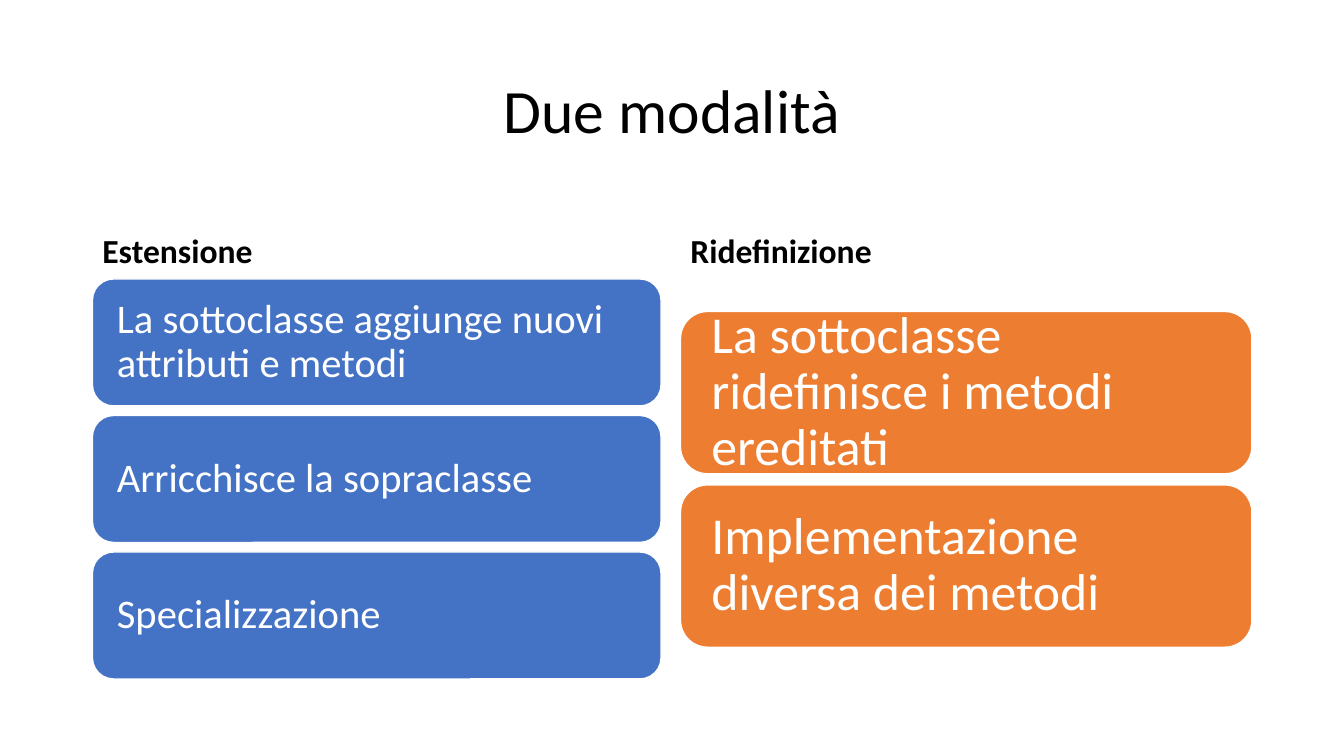
from pptx import Presentation
from pptx.dml.color import RGBColor
from pptx.enum.shapes import MSO_SHAPE
from pptx.enum.text import MSO_ANCHOR, PP_ALIGN
from pptx.util import Cm, Pt

COLORS = {"text": "000000", "white": "FFFFFF", "blue": "4472C4", "orange": "ED7D31"}

COLUMNS = [
    {"heading": "Estensione", "color": "blue", "left": 2.33, "width": 14.33,
     "top": 7.03, "height": 3.2, "pitch": 3.44, "inset": 0.46, "size": 29,
     "cards": ["La sottoclasse aggiunge nuovi attributi e metodi",
               "Arricchisce la sopraclasse",
               "Specializzazione"]},
    {"heading": "Ridefinizione", "color": "orange", "left": 17.15, "width": 14.4,
     "top": 7.85, "height": 4.09, "pitch": 4.37, "inset": 0.58, "size": 37,
     "cards": ["La sottoclasse ridefinisce i metodi ereditati",
               "Implementazione diversa dei metodi"]},
]


def write(shape, text, color, anchor, inset_x, inset_y, align=PP_ALIGN.LEFT, **font_format):
    """Fill a shape with one wrapped paragraph; insets are in centimetres."""
    frame = shape.text_frame
    frame_format = {"word_wrap": True, "vertical_anchor": anchor,
                    "margin_left": Cm(inset_x), "margin_right": Cm(inset_x),
                    "margin_top": Cm(inset_y), "margin_bottom": Cm(inset_y)}
    for name, value in frame_format.items():
        setattr(frame, name, value)
    para = frame.paragraphs[0]
    para.alignment = align
    para.line_spacing = 0.9
    span = para.add_run()
    span.text = text
    span.font.color.rgb = RGBColor.from_string(COLORS[color])
    for name, value in {"name": "Calibri", **font_format}.items():
        setattr(span.font, name, value)


deck = Presentation()
deck.slide_width, deck.slide_height = Cm(33.87), Cm(19.05)
slide = deck.slides.add_slide(deck.slide_layouts[6])

title = slide.shapes.add_textbox(Cm(2.33), Cm(1.01), Cm(29.21), Cm(3.68))
write(title, "Due modalità", "text", MSO_ANCHOR.MIDDLE, 0.25, 0.13,
      PP_ALIGN.CENTER, size=Pt(44))

for column in COLUMNS:
    left, width = Cm(column["left"]), Cm(column["width"])
    heading = slide.shapes.add_textbox(left, Cm(4.67), width, Cm(2.29))
    write(heading, column["heading"], "text", MSO_ANCHOR.BOTTOM, 0.25, 0.13,
          size=Pt(24), bold=True)

    for index, text in enumerate(column["cards"]):
        top = Cm(column["top"] + index * column["pitch"])
        card = slide.shapes.add_shape(MSO_SHAPE.ROUNDED_RECTANGLE,
                                      left, top, width, Cm(column["height"]))
        card.shadow.inherit = False
        card.fill.solid()
        card.fill.fore_color.rgb = RGBColor.from_string(COLORS[column["color"]])
        card.line.color.rgb = RGBColor.from_string(COLORS["white"])
        card.line.width = Pt(1)
        write(card, text, "white", MSO_ANCHOR.MIDDLE, column["inset"], column["inset"],
              size=Pt(column["size"]))

deck.save("out.pptx")
